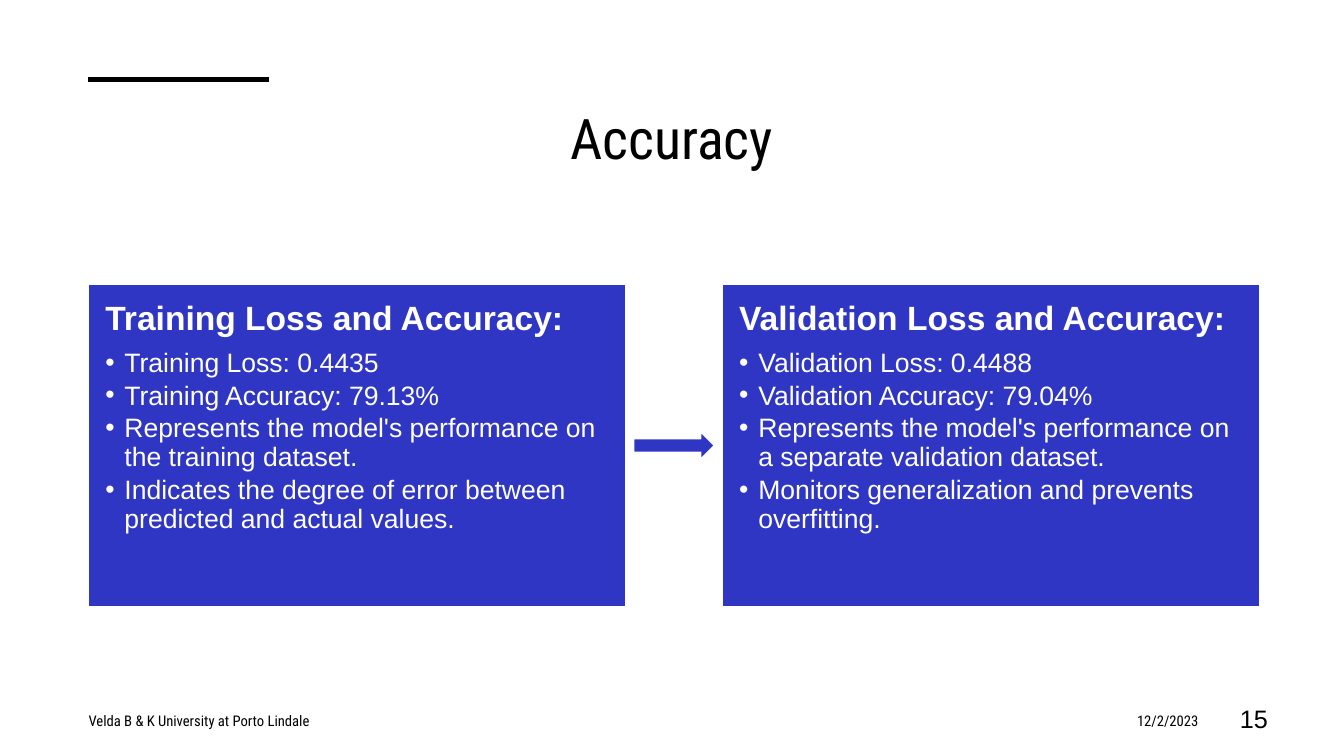
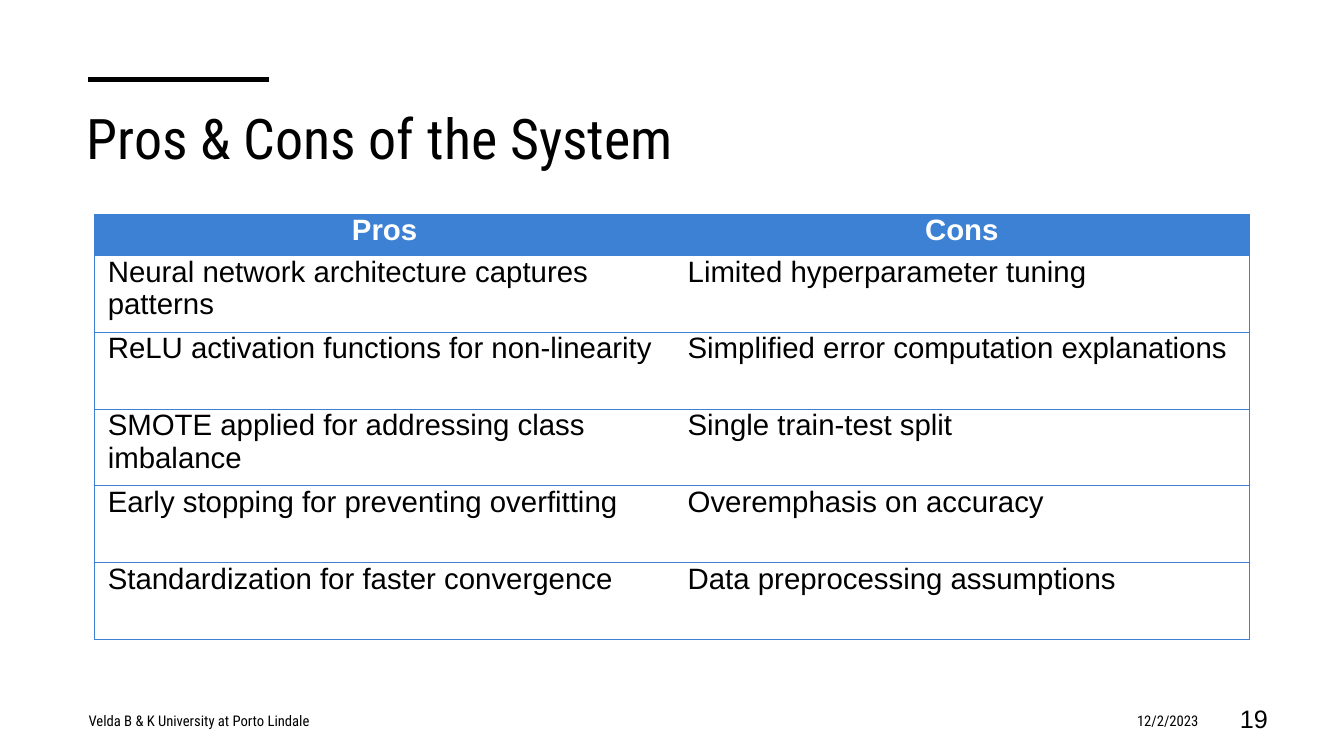
import lxml.etree
import pptx
import pptx.dml.color
import pptx.enum.shapes
import pptx.enum.text
import pptx.oxml.ns
import pptx.util

Pt = pptx.util.Pt
qn = pptx.oxml.ns.qn
ALIGN = pptx.enum.text.PP_ALIGN
ANCHOR = pptx.enum.text.MSO_ANCHOR

BLACK, WHITE, PANEL_BLUE, TABLE_BLUE = "000000", "FFFFFF", "3036C4", "3C81D4"
HEADING_FONT, BODY_FONT = "Roboto Condensed", "Arial"
LEFT = 63.2
TWO_CONTENT, TITLE_ONLY = 3, 5
PANEL_TOP, PANEL_WIDTH, PANEL_HEIGHT, PANEL_GAP = 203, 383.8, 230.4, 69

PANELS = [
    ("Training Loss and Accuracy:", [
        "Training Loss: 0.4435",
        "Training Accuracy: 79.13%",
        "Represents the model's performance on the training dataset.",
        "Indicates the degree of error between predicted and actual values.",
    ]),
    ("Validation Loss and Accuracy:", [
        "Validation Loss: 0.4488",
        "Validation Accuracy: 79.04%",
        "Represents the model's performance on a separate validation dataset.",
        "Monitors generalization and prevents overfitting.",
    ]),
]

PROS_AND_CONS = [
    ("Pros", "Cons"),
    ("Neural network architecture captures patterns", "Limited hyperparameter tuning"),
    ("ReLU activation functions for non-linearity", "Simplified error computation explanations"),
    ("SMOTE applied for addressing class imbalance", "Single train-test split"),
    ("Early stopping for preventing overfitting", "Overemphasis on accuracy"),
    ("Standardization for faster convergence", "Data preprocessing assumptions"),
]


def color(value):
    return pptx.dml.color.RGBColor.from_string(value)


def place(box, left, top, width, height):
    box.left, box.top, box.width, box.height = map(Pt, (left, top, width, height))


def paint(box, fill, line):
    box.fill.solid()
    box.fill.fore_color.rgb = color(fill)
    box.line.color.rgb = color(line)
    box.line.width = Pt(1)


def write(para, text, size, font=BODY_FONT, ink=BLACK, bold=False,
          align=ALIGN.LEFT, spacing=1.0, after=0):
    para.alignment = align
    para.line_spacing = spacing
    para.space_before, para.space_after = Pt(0), Pt(after)
    span = para.add_run()
    span.text = text
    span.font.size = Pt(size)
    span.font.name = font
    span.font.bold = bold
    span.font.color.rgb = color(ink)


def set_bullet(para, symbol=None, indent=0):
    properties = para._p.get_or_add_pPr()
    properties.set("marL", str(Pt(indent)))
    properties.set("indent", str(-Pt(indent)))
    if symbol:
        lxml.etree.SubElement(properties, qn("a:buChar")).set("char", symbol)
    else:
        lxml.etree.SubElement(properties, qn("a:buNone"))


def add_label(page, text, left, width, size, **style):
    box = page.shapes.add_textbox(Pt(left), Pt(500.4), Pt(width), Pt(28.8))
    box.text_frame.word_wrap = True
    box.text_frame.vertical_anchor = ANCHOR.MIDDLE
    write(box.text_frame.paragraphs[0], text, size, **style)


def add_page(deck, layout, title, number, align=ALIGN.LEFT):
    page = deck.slides.add_slide(deck.slide_layouts[layout])
    heading = page.shapes.title
    place(heading, 54.7, 70.4, 850.3, 82.8)
    heading.text_frame.vertical_anchor = ANCHOR.TOP
    heading.text_frame.auto_size = pptx.enum.text.MSO_AUTO_SIZE.NONE
    write(heading.text_frame.paragraphs[0], title, 40, font=HEADING_FONT, align=align)

    rule = page.shapes.add_connector(
        pptx.enum.shapes.MSO_CONNECTOR.STRAIGHT, Pt(LEFT), Pt(56.9), Pt(192.2), Pt(56.9))
    rule.line.color.rgb = color(BLACK)
    rule.line.width = Pt(3.5)
    lxml.etree.SubElement(rule._element.spPr, qn("a:effectLst"))

    add_label(page, "Velda B & K University at Porto Lindale", 56.2, 357, 10.5,
              font=HEADING_FONT)
    add_label(page, "12/2/2023", 658.6, 204.5, 10.5, font=HEADING_FONT, align=ALIGN.RIGHT)
    add_label(page, str(number), 859.4, 53.3, 18, align=ALIGN.RIGHT, spacing=0.9)
    return page


def fill_panel(box, left, heading, points):
    place(box, left, PANEL_TOP, PANEL_WIDTH, PANEL_HEIGHT)
    paint(box, PANEL_BLUE, WHITE)
    frame = box.text_frame
    frame.auto_size = pptx.enum.text.MSO_AUTO_SIZE.NONE
    frame.vertical_anchor = ANCHOR.TOP
    frame.margin_left = frame.margin_right = frame.margin_top = frame.margin_bottom = Pt(12)
    para = frame.paragraphs[0]
    write(para, heading, 24, ink=WHITE, bold=True, spacing=0.9, after=8.6)
    set_bullet(para)
    for point in points:
        para = frame.add_paragraph()
        para.level = 1
        write(para, point, 19, ink=WHITE, spacing=0.9, after=2.9)
        set_bullet(para, "•", 13.7)


def add_arrow(page, center_x, center_y, width, height):
    arrow = page.shapes.add_shape(
        pptx.enum.shapes.MSO_SHAPE.RIGHT_ARROW, Pt(center_x - width / 2),
        Pt(center_y - height / 2), Pt(width), Pt(height))
    arrow.shadow.inherit = False
    paint(arrow, PANEL_BLUE, WHITE)


def set_borders(cell, visible):
    properties = cell._tc.get_or_add_tcPr()
    for position, side in enumerate(("L", "R", "T", "B")):
        border = lxml.etree.Element(qn("a:ln" + side), w=str(Pt(0.5)))
        if side in visible:
            paint_node = lxml.etree.SubElement(border, qn("a:solidFill"))
            lxml.etree.SubElement(paint_node, qn("a:srgbClr")).set("val", TABLE_BLUE)
        else:
            lxml.etree.SubElement(border, qn("a:noFill"))
        properties.insert(position, border)


def fill_cell(cell, text, is_header, outer_side):
    cell.margin_left = cell.margin_right = Pt(9.4)
    cell.margin_top = cell.margin_bottom = Pt(0)
    cell.vertical_anchor = ANCHOR.TOP
    para = cell.text_frame.paragraphs[0]
    if is_header:
        cell.fill.solid()
        cell.fill.fore_color.rgb = color(TABLE_BLUE)
        write(para, text, 21, ink=WHITE, bold=True, align=ALIGN.CENTER)
    else:
        cell.fill.background()
        write(para, text, 21)
    set_borders(cell, outer_side + "TB")


def add_grid(page, rows, left, top, widths, header_height, row_height):
    heights = [header_height] + [row_height] * (len(rows) - 1)
    table = page.shapes.add_table(
        len(rows), len(widths), Pt(left), Pt(top), Pt(sum(widths)), Pt(sum(heights))).table
    table.horz_banding = False
    for column, width in zip(table.columns, widths):
        column.width = Pt(width)
    for index, (texts, height) in enumerate(zip(rows, heights)):
        table.rows[index].height = Pt(height)
        for column, (text, side) in enumerate(zip(texts, "LR")):
            fill_cell(table.cell(index, column), text, index == 0, side)


def build_accuracy(deck):
    page = add_page(deck, TWO_CONTENT, "Accuracy", 15, align=ALIGN.CENTER)
    bodies = [box for box in page.placeholders if box.placeholder_format.idx > 0]
    for index, (box, (heading, points)) in enumerate(zip(bodies, PANELS)):
        fill_panel(box, LEFT + index * (PANEL_WIDTH + PANEL_GAP), heading, points)
    add_arrow(page, LEFT + PANEL_WIDTH + PANEL_GAP / 2, PANEL_TOP + PANEL_HEIGHT / 2, 57.6, 19.4)


def build_pros_and_cons(deck):
    page = add_page(deck, TITLE_ONLY, "Pros & Cons of the System", 19)
    add_grid(page, PROS_AND_CONS, 67.6, 153, (414.2, 410.4), 29.6, 54.8)


def main():
    deck = pptx.Presentation()
    deck.slide_width, deck.slide_height = Pt(960), Pt(540)
    build_accuracy(deck)
    build_pros_and_cons(deck)
    deck.save("out.pptx")


if __name__ == "__main__":
    main()
